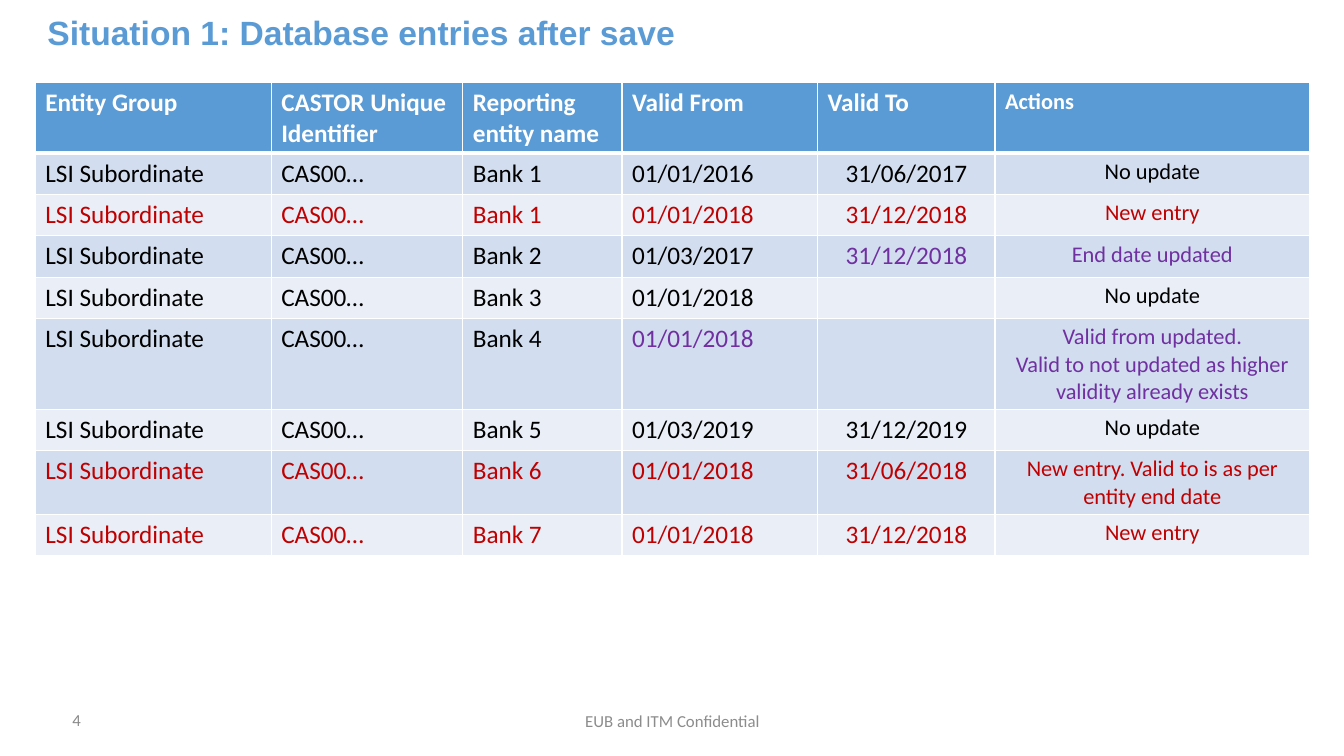
import pptx
import pptx.util
import pptx.dml.color
import pptx.enum.text
import pptx.oxml.ns
import lxml.etree

Inches = pptx.util.Inches
Align = pptx.enum.text.PP_ALIGN
Anchor = pptx.enum.text.MSO_ANCHOR

HUES = {
    "blue": "5B9BD5", "dark": "D2DEEF", "light": "EAEFF7", "white": "FFFFFF",
    "black": "000000", "red": "C00000", "plum": "7030A0",
    "gray": "8C8C8C", "page": "898989",
}
WIDTHS = [2.34, 1.9, 1.58, 1.94, 1.76, 3.12]
HEADS = ["Entity Group", "CASTOR Unique Identifier", "Reporting entity name",
         "Valid From", "Valid To", "Actions"]
# Bank, start, end, action, row colour, colours of single columns
ROWS = [
    (1, "01/01/2016", "31/06/2017", "No update", "black", {}),
    (1, "01/01/2018", "31/12/2018", "New entry", "red", {}),
    (2, "01/03/2017", "31/12/2018", "End date updated", "black",
     {4: "plum", 5: "plum"}),
    (3, "01/01/2018", "", "No update", "black", {}),
    (4, "01/01/2018", "",
     "Valid from updated.\n"
     "Valid to not updated as higher validity already exists",
     "black", {3: "plum", 5: "plum"}),
    (5, "01/03/2019", "31/12/2019", "No update", "black", {}),
    (6, "01/01/2018", "31/06/2018",
     "New entry. Valid to is as per entity end date", "red", {}),
    (7, "01/01/2018", "31/12/2018", "New entry", "red", {}),
]


def tint(name):
    """Return the named colour."""
    return pptx.dml.color.RGBColor.from_string(HUES[name])


def write(frame, text, hue, size, face="Calibri", bold=False, align=Align.LEFT):
    """Put text in a frame and format each paragraph."""
    frame.text = text
    look = {"name": face, "size": pptx.util.Pt(size), "bold": bold}
    for para in frame.paragraphs:
        para.alignment = align
        for run in para.runs:
            for key, value in look.items():
                setattr(run.font, key, value)
            run.font.color.rgb = tint(hue)


def place(shape, left, top, width, height):
    """Move and size a shape, in inches."""
    spot = {"left": left, "top": top, "width": width, "height": height}
    for key, value in spot.items():
        setattr(shape, key, Inches(value))


def edge(cell, sides):
    """Draw white cell borders from a dict of side and point width."""
    props = cell._tc.get_or_add_tcPr()
    name = pptx.oxml.ns.qn
    for side, width in sides.items():
        line = lxml.etree.SubElement(props, name("a:ln" + side),
                                     w=str(pptx.util.Pt(width)))
        fill = lxml.etree.SubElement(line, name("a:solidFill"))
        lxml.etree.SubElement(fill, name("a:srgbClr"), val=HUES["white"])


def title(slide, text):
    """Fill the title placeholder."""
    shape = slide.shapes.title
    place(shape, 0.37, 0.11, 11.55, 1.16)
    frame = shape.text_frame
    write(frame, text, "blue", 24, "Arial", True, Align.JUSTIFY)
    frame.vertical_anchor = Anchor.TOP
    frame.auto_size = pptx.enum.text.MSO_AUTO_SIZE.NONE
    frame.paragraphs[0].line_spacing = 0.9


def label(slide, text, spot, hue, align):
    """Add a small text box at the foot of the slide."""
    box = slide.shapes.add_textbox(*[Inches(size) for size in spot])
    box.text_frame.word_wrap = True
    box.text_frame.vertical_anchor = Anchor.MIDDLE
    write(box.text_frame, text, hue, 12, align=align)


def grid(slide):
    """Add the table of database entries."""
    count = len(ROWS) + 1
    high = 0.41
    table = slide.shapes.add_table(
        count, len(WIDTHS), Inches(0.35), Inches(0.82),
        Inches(sum(WIDTHS)), Inches(high * count)).table
    for col, width in zip(table.columns, WIDTHS):
        col.width = Inches(width)
    for row in table.rows:
        row.height = Inches(high)

    lines = [(HEADS, "white", {})]
    for bank, start, end, act, hue, marks in ROWS:
        texts = ["LSI Subordinate", "CAS00…", f"Bank {bank}", start, end, act]
        lines.append((texts, hue, marks))

    for r, (texts, hue, marks) in enumerate(lines):
        head = r == 0
        back = "blue" if head else "dark" if r % 2 else "light"
        sides = {"L": 1, "R": 1, "T": 3 if r == 1 else 1, "B": 3 if head else 1}
        for c, text in enumerate(texts):
            cell = table.cell(r, c)
            edge(cell, sides)
            cell.fill.solid()
            cell.fill.fore_color.rgb = tint(back)
            align = Align.CENTER if c > 3 and not head else Align.LEFT
            write(cell.text_frame, text, marks.get(c, hue),
                  16 if c == 5 else 18, bold=head, align=align)


def main():
    """Build and save the slide."""
    deck = pptx.Presentation()
    deck.slide_width = Inches(13.33)
    deck.slide_height = Inches(7.5)
    slide = deck.slides.add_slide(deck.slide_layouts[5])
    label(slide, "EUB and ITM Confidential", (4.42, 6.95, 4.5, 0.4),
          "gray", Align.CENTER)
    label(slide, "4", (0.62, 6.94, 3, 0.4), "page", Align.LEFT)
    grid(slide)
    title(slide, "Situation 1: Database entries after save")
    deck.save("out.pptx")


main()
